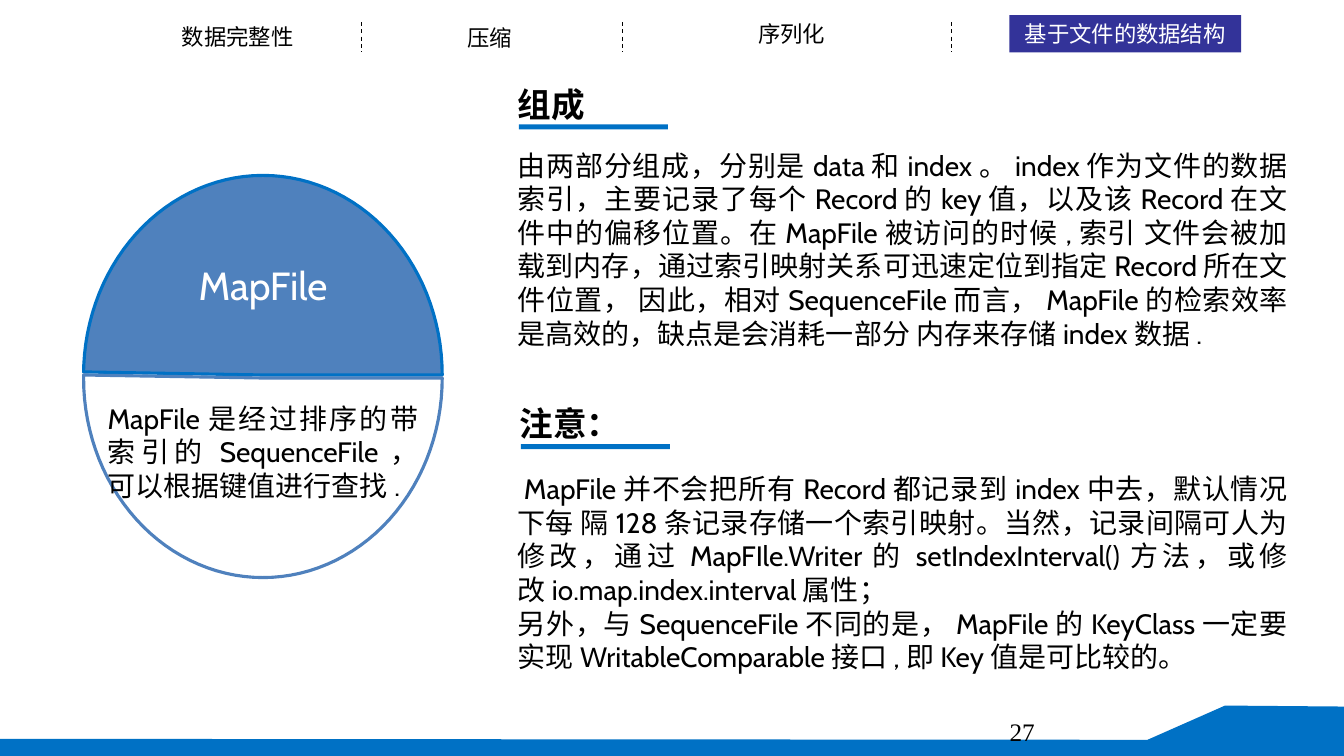
from dataclasses import dataclass
from math import cos, pi, sin

from lxml.etree import SubElement
from pptx import Presentation
from pptx.dml.color import RGBColor as RGB
from pptx.enum.dml import MSO_LINE_DASH_STYLE as DASH
from pptx.enum.shapes import MSO_CONNECTOR as CONN, MSO_SHAPE as SHAPE
from pptx.enum.text import MSO_ANCHOR as ANCHOR, PP_ALIGN as ALIGN
from pptx.oxml.ns import qn
from pptx.util import Inches, Pt


@dataclass(frozen=True)
class Theme:
    black: RGB = RGB(0, 0, 0)
    white: RGB = RGB(255, 255, 255)
    blue: RGB = RGB.from_string("0071C5")
    steel: RGB = RGB.from_string("4F81BD")
    indigo: RGB = RGB.from_string("333399")
    nav_font: str = "Noto Sans CJK SC"
    body_font: str = "Cabin"
    head_font: str = "Arial"
    page_font: str = "Times New Roman"
    nav: int = 16
    page: int = 18
    body: int = 20
    head: int = 24
    name: int = 28


T = Theme()
NBSP = chr(160)

TABS = [
    ("数据完整性", 1.64, 0.18, 1.44),
    ("压缩", 3.59, 0.19, 2.54),
    ("序列化", 6.67, 0.15, 2.38),
]
ACTIVE_TAB = ("基于文件的数据结构", 10.02, 0.15, 2.3)
DIVIDERS = [3.59, 6.18, 9.44]
SECTIONS = [
    ("组成", 5.04, 0.78, 1.42, [
        "由两部分组成，分别是 data 和 index 。 index 作为文件的数据索引，主要记录了每个 Record 的 key 值，"
        "以及该 Record 在文件中的偏移位置。在 MapFile 被访问的时候 , 索引 文件会被加载到内存，"
        "通过索引映射关系可迅速定位到指定 Record 所在文件位置， 因此，相对 SequenceFile 而言， "
        "MapFile 的检索效率是高效的，缺点是会消耗一部分 内存来存储 index 数据 .",
    ]),
    ("注意：", 5.06, 3.95, 4.63, [
        " MapFile 并不会把所有 Record 都记录到 index 中去，默认情况下每 隔 128 条记录存储一个索引映射。"
        "当然，记录间隔可人为修改，通过 MapFIle.Writer 的 setIndexInterval() 方法，"
        "或修改 io.map.index.interval 属性；",
        "另外，与 SequenceFile 不同的是， MapFile 的 KeyClass 一定要实现 WritableComparable 接口 , "
        "即 Key 值是可比较的。",
    ]),
]
NAME = "MapFile"
SUMMARY = "MapFile 是经过排序的带索引的 SequenceFile ，可以根据键值进行查找 ."
PAGE = "27"
BAND = [(13.34, 7.01), (12.16, 7), (11.39, 7.34), (0, 7.33), (0, 7.5), (13.34, 7.5)]
CENTER_X, RADIUS_X, RADIUS_Y = 2.61, 1.78, 1.98
HALVES = [(3.72, -1, T.steel, T.blue), (3.75, 1, None, T.steel)]
ARC_STEPS = 60

prs = Presentation()
prs.slide_width, prs.slide_height = Inches(13.34), Inches(7.5)
s = prs.slides.add_slide(prs.slide_layouts[6])


def style(sp, fill=None, line=None):
    sp.shadow.inherit = False
    if fill is None:
        sp.fill.background()
    else:
        sp.fill.solid()
        sp.fill.fore_color.rgb = fill
    if line is None:
        sp.line.fill.background()
    else:
        sp.line.color.rgb = line
        sp.line.width = Pt(2.25)


def write(sp, paragraphs, font, size, color=T.black, align=ALIGN.LEFT, bold=False):
    tf = sp.text_frame
    tf.word_wrap = True
    for i, text in enumerate(paragraphs):
        p = tf.add_paragraph() if i else tf.paragraphs[0]
        p.text = text.replace(" ", NBSP)
        p.alignment = align
        p.font.name, p.font.size, p.font.bold = font, Pt(size), bold
        p.font.color.rgb = color
    return tf


def box(x, y, w, h):
    return s.shapes.add_textbox(Inches(x), Inches(y), Inches(w), Inches(h))


def bar(x, y, w, h, fill):
    sp = s.shapes.add_shape(SHAPE.RECTANGLE, Inches(x), Inches(y), Inches(w), Inches(h))
    style(sp, fill)
    return sp


def outline(points, fill=None, line=None):
    pts = [(Inches(x), Inches(y)) for x, y in points]
    fb = s.shapes.build_freeform(*pts[0])
    fb.add_line_segments(pts[1:], close=True)
    style(fb.convert_to_shape(), fill, line)


outline(BAND, T.blue)
tf = write(box(10.02, 7.06, 3.11, 0.4), [PAGE], T.page_font, T.page)
tf.margin_left = tf.margin_right = tf.margin_top = tf.margin_bottom = 0
tf.vertical_anchor = ANCHOR.MIDDLE

for text, x, y, w in TABS:
    write(box(x, y, w, 0.37), [text], T.nav_font, T.nav, align=ALIGN.CENTER)
for x in DIVIDERS:
    c = s.shapes.add_connector(CONN.STRAIGHT, Inches(x), Inches(0.22), Inches(x), Inches(0.52))
    c.line.color.rgb = T.black
    c.line.width = Pt(0.75)
    c.line.dash_style = DASH.DASH
    SubElement(c._element.spPr, qn("a:effectLst"))
text, x, y, w = ACTIVE_TAB
write(bar(x, y, w, 0.37, T.indigo), [text], T.nav_font, T.nav, T.white, ALIGN.CENTER)

for title, x, y, body_y, paragraphs in SECTIONS:
    write(box(5.04, body_y, 7.84, 2.43), paragraphs, T.body_font, T.body, align=ALIGN.JUSTIFY)
    write(box(x, y, 2.38, 0.5), [title], T.head_font, T.head, bold=True)
    bar(x + 0.11, y + 0.455, 1.48, 0.05, T.blue)

for mid_y, side, fill, line in HALVES:
    angles = [pi * i / ARC_STEPS for i in range(ARC_STEPS + 1)]
    arc = [(CENTER_X + RADIUS_X * cos(a), mid_y + side * RADIUS_Y * sin(a)) for a in angles]
    left_end = (CENTER_X - RADIUS_X, mid_y - 0.03)
    outline(arc[:-1] + [left_end, (CENTER_X, mid_y)], fill, line)

write(box(1.07, 2.54, 3.08, 0.57), [NAME], T.body_font, T.name, T.white, ALIGN.CENTER)
write(box(0.97, 3.93, 3.28, 1.44), [SUMMARY], T.body_font, T.body, align=ALIGN.JUSTIFY)

prs.save("out.pptx")
